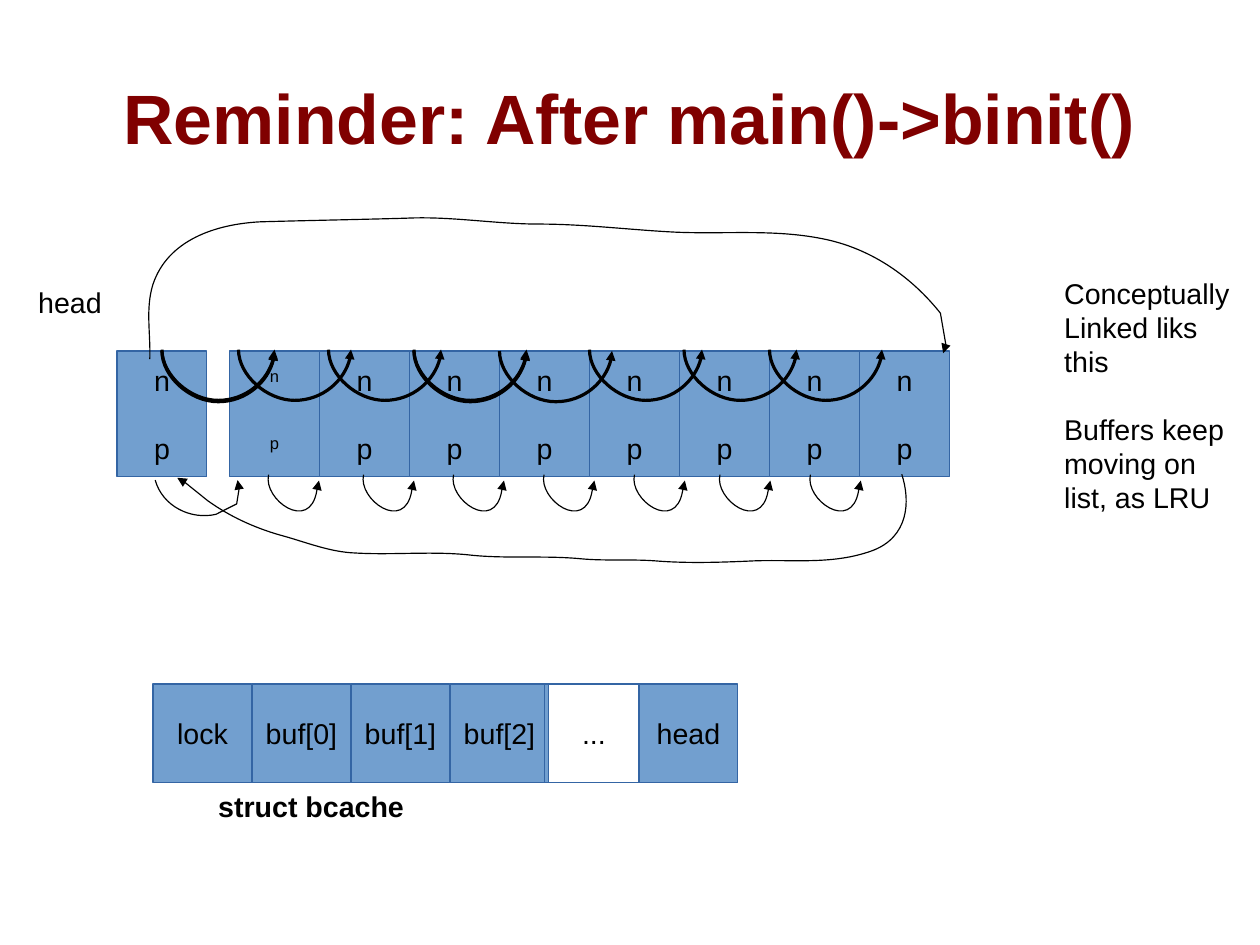
import pptx
import pptx.util
import pptx.dml.color
import pptx.enum.shapes
import pptx.enum.text
import pptx.oxml.ns
from lxml import etree

Cm, Pt = pptx.util.Cm, pptx.util.Pt
ALIGN, ANCHOR = pptx.enum.text.PP_ALIGN, pptx.enum.text.MSO_ANCHOR
SHAPE, LINK = pptx.enum.shapes.MSO_SHAPE, pptx.enum.shapes.MSO_CONNECTOR
qn = pptx.oxml.ns.qn

BLUE, EDGE, BLACK, RED = "729FCF", "3465A4", "000000", "800000"
TITLE = "Reminder: After main()->binit()"
NOTES = ["Conceptually Linked liks this", "Buffers keep moving on list, as LRU"]
NODES = [2.6] + [5.1 + 2 * i for i in range(8)]
CACHE = [("lock", 3.4), ("buf[0]", 5.6), ("buf[1]", 7.8),
         ("buf[2]", 10), ("...", 12.1), ("head", 14.2)]
ARCS = [(3.6, 7.8), (11.1, 7.8), (7.3, 7.77), (9.2, 7.8), (3.6, 7.77),
        (13.1, 7.77), (15.2, 7.77), (17.1, 7.77), (5.3, 7.77), (9.2, 7.77)]
LOOPS = [5.97, 8.08, 10.08, 12.09, 14.1, 16, 18.01]
LOOP = [(0, 0), (-0.13, 0.55, 0.91, 1.3, 1.07, 0.36), (1.12, 0.13)]
OVER = [
    (3.33, 7.98),
    (3.35, 7.42, 3.23, 6.86, 3.4, 6.32),
    (3.73, 5.33, 4.8, 4.98, 5.79, 4.93),
    (6.86, 4.9, 7.95, 4.88, 9.02, 4.85),
    (10.01, 4.8, 11, 4.98, 11.96, 4.98),
    (13, 4.98, 14, 5.11, 15.01, 5.16),
    (16.15, 5.21, 17.27, 5.08, 18.39, 5.33),
    (19.41, 5.56, 20.27, 6.17, 20.9, 6.96),
    (21.03, 7.72), (20.96, 7.85),
]
UNDER = [
    (20.04, 10.54),
    (20.24, 11.15, 20.19, 11.94, 19.38, 12.24),
    (18.47, 12.57, 17.55, 12.42, 16.64, 12.47),
    (15.98, 12.5, 15.29, 12.52, 14.63, 12.47),
    (14.05, 12.42, 13.49, 12.47, 12.93, 12.42),
    (12.12, 12.34, 11.3, 12.42, 10.49, 12.34),
    (9.63, 12.24, 8.76, 12.34, 7.9, 12.29),
    (7.32, 12.27, 6.78, 12.04, 6.22, 11.89),
    (5.66, 11.73, 5.11, 11.48, 4.62, 11.13),
    (4.11, 10.72), (3.94, 10.62),
]
HOP = [(3.45, 10.67), (3.61, 11.25, 4.24, 11.56, 4.8, 11.43),
       (5.26, 11.2), (5.33, 10.77), (5.28, 10.67)]


def tint(code):
    return pptx.dml.color.RGBColor.from_string(code)


def write(shape, lines, size=18, color=BLACK, bold=False, gap=21,
          align=ALIGN.LEFT, anchor=ANCHOR.TOP, wrap=True):
    frame = shape.text_frame
    frame.word_wrap = wrap
    frame.vertical_anchor = anchor
    frame.text = "\n".join(lines)
    for i, para in enumerate(frame.paragraphs):
        para.alignment = align
        para.space_before = Pt(gap if i else 0)
        font = para.font
        font.name, font.size, font.bold = "Arial", Pt(size), bold
        font.color.rgb = tint(color)
    return frame


def label(slide, x, y, wide, high, lines, **style):
    box = slide.shapes.add_textbox(Cm(x), Cm(y), Cm(wide), Cm(high))
    return write(box, lines, **style)


def cell(slide, x, y, wide, high, lines, fill=BLUE):
    box = slide.shapes.add_shape(SHAPE.RECTANGLE, Cm(x), Cm(y), Cm(wide), Cm(high))
    box.shadow.inherit = False
    if fill:
        box.fill.solid()
        box.fill.fore_color.rgb = tint(fill)
    else:
        box.fill.background()
    box.line.color.rgb = tint(EDGE)
    box.line.width = Pt(0)
    return write(box, lines, align=ALIGN.CENTER, anchor=ANCHOR.MIDDLE, wrap=False)


def arrow(shape):
    shape.line.color.rgb = tint(BLACK)
    shape.line.width = Pt(0)
    line = shape.line._get_or_add_ln()
    etree.SubElement(line, qn("a:tailEnd"), type="triangle")


def arc(slide, x, y, span=2.5):
    mid, top = Cm(x + span / 2), Cm(y - span / 2)
    thin = pptx.util.Emu(360)
    link = slide.shapes.add_connector(LINK.CURVE, mid, top, mid + thin, top + Cm(span))
    props = link._element.spPr
    props.find(qn("a:xfrm")).set("rot", "16200000")
    geom = props.find(qn("a:prstGeom"))
    geom.set("prst", "curvedConnector3")
    guides = geom.find(qn("a:avLst"))
    if guides is None:
        guides = etree.SubElement(geom, qn("a:avLst"))
    etree.SubElement(guides, qn("a:gd"), name="adj1", fmla="val -56300000")
    arrow(link)
    etree.SubElement(props, qn("a:effectLst"))


def curve(slide, steps, dx=0, dy=0):
    steps = [[Cm(n + (dy if i % 2 else dx)) for i, n in enumerate(step)]
             for step in steps]
    pen = slide.shapes.build_freeform(*steps[0])
    pen.add_line_segments([step[-2:] for step in steps[1:]], close=False)
    shape = pen.convert_to_shape()
    shape.shadow.inherit = False
    shape.fill.background()
    for step, part in zip(steps[1:], list(shape._element.iter(qn("a:lnTo")))):
        if len(step) == 6:
            bend = etree.Element(qn("a:cubicBezTo"))
            for x, y in zip(step[::2], step[1::2]):
                etree.SubElement(bend, qn("a:pt"),
                                 x=str(x - shape.left), y=str(y - shape.top))
            part.getparent().replace(part, bend)
    arrow(shape)


def main():
    deck = pptx.Presentation()
    deck.slide_width, deck.slide_height = Cm(28), Cm(21)
    slide = deck.slides.add_slide(deck.slide_layouts[6])

    head = label(slide, 1.4, 0.84, 25.2, 3.5, [TITLE], size=44, color=RED,
                 bold=True, align=ALIGN.CENTER, anchor=ANCHOR.MIDDLE)
    head.margin_left = head.margin_right = head.margin_top = head.margin_bottom = 0

    for i, x in enumerate(NODES):
        frame = cell(slide, x, 7.8, 2, 2.8, ["n", "p"])
        if i == 1:
            for para in frame.paragraphs:
                para.runs[0].font._element.set("baseline", "33000")
    label(slide, 0.6, 6.2, 2.2, 1, ["head"])
    for x, y in ARCS:
        arc(slide, x, y)
    curve(slide, OVER)

    for name, x in CACHE:
        cell(slide, x, 15.2, 2.2, 2.2, [name], None if name == "..." else BLUE)
    label(slide, 23.4, 6, 4.4, 5.23, NOTES)
    label(slide, 4.6, 17.4, 8.8, 0.97, ["struct bcache"], bold=True)

    for x in LOOPS:
        curve(slide, LOOP, x, 10.55)
    curve(slide, UNDER)
    curve(slide, HOP)
    deck.save("out.pptx")


if __name__ == "__main__":
    main()
